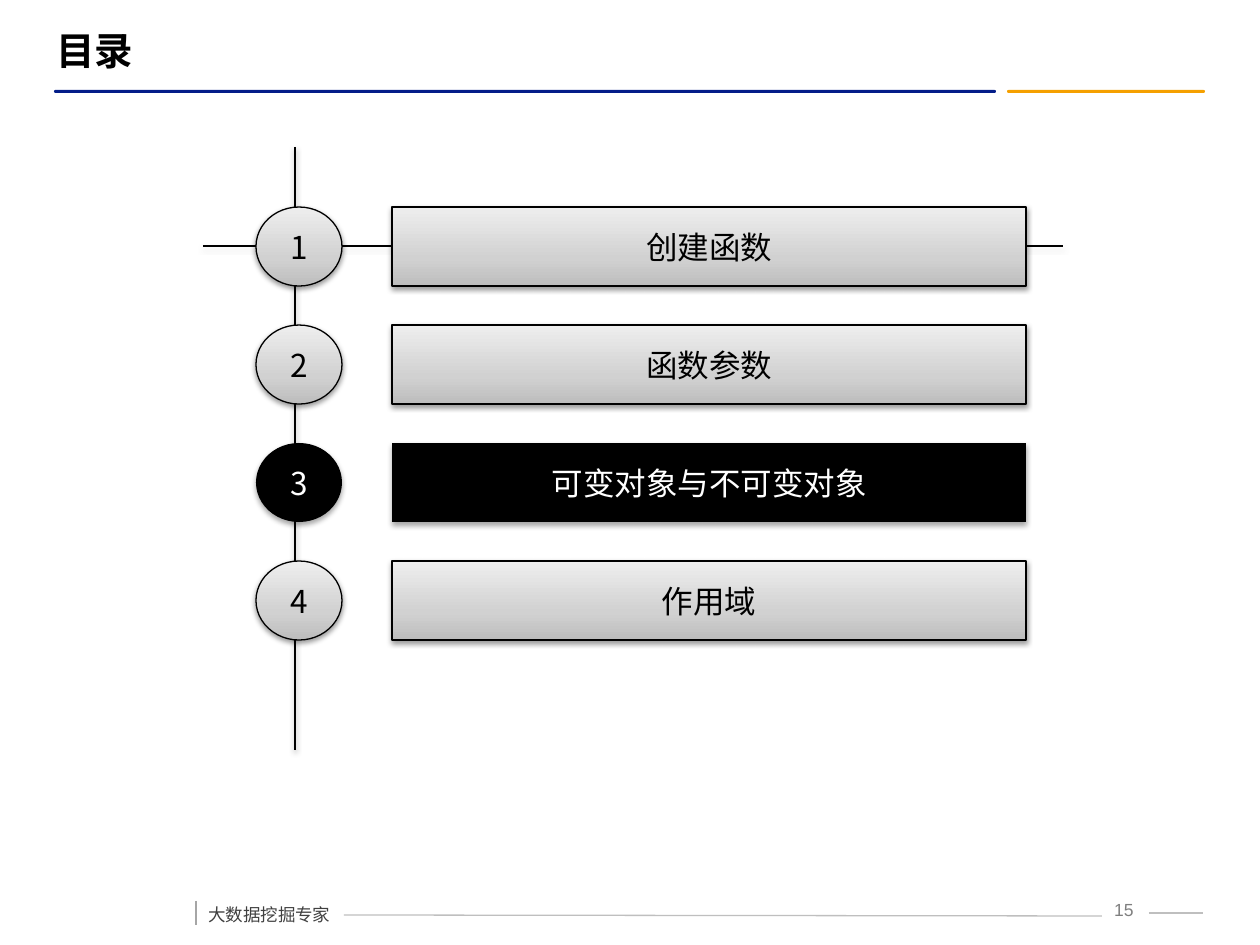
from lxml.etree import SubElement
from pptx import Presentation
from pptx.dml.color import RGBColor
from pptx.enum.shapes import MSO_CONNECTOR, MSO_SHAPE
from pptx.enum.text import MSO_ANCHOR, MSO_AUTO_SIZE, PP_ALIGN
from pptx.oxml import parse_xml
from pptx.oxml.ns import nsdecls, qn
from pptx.util import Inches, Pt

PX = Inches(1) / 126
SANS = "Noto Sans CJK SC"
BLACK = RGBColor(0x00, 0x00, 0x00)
WHITE = RGBColor(0xFF, 0xFF, 0xFF)
NAVY = RGBColor(0x03, 0x1D, 0x89)
ORANGE = RGBColor(0xF5, 0xA0, 0x00)
SLATE = RGBColor(0x40, 0x40, 0x40)
GREY = RGBColor(0x7F, 0x7F, 0x7F)
TICK_GREY = RGBColor(0xA6, 0xA6, 0xA6)
LINE_GREY = RGBColor(0xBF, 0xBF, 0xBF)
BUTTON_STOPS = [(0, RGBColor(0xBD, 0xBD, 0xBD)),
                (35, RGBColor(0xD1, 0xD1, 0xD1)),
                (100, RGBColor(0xEE, 0xEE, 0xEE))]

TOPICS = ["创建函数", "函数参数", "可变对象与不可变对象", "作用域"]
CURRENT = 3


def px(*lengths):
    return [round(length * PX) for length in lengths]


def add_run(paragraph, text, size, color, font=SANS, bold=False):
    run = paragraph.add_run()
    run.text = text
    run.font.size = Pt(size)
    run.font.bold = bold
    run.font.name = font
    run.font.color.rgb = color
    SubElement(run.font._element, qn("a:ea")).set("typeface", SANS)


def cast_shadow(effects, distance=1.6, opacity=38):
    effects.append(parse_xml(
        f'<a:outerShdw {nsdecls("a")} blurRad="{Pt(3.1)}" dist="{Pt(distance)}" '
        f'dir="5400000" rotWithShape="0"><a:srgbClr val="{BLACK}">'
        f'<a:alpha val="{opacity * 1000}"/></a:srgbClr></a:outerShdw>'))


def fill_gradient(shape):
    shape.fill.gradient()
    gradient = shape._element.spPr.find(qn("a:gradFill"))
    stops = "".join(f'<a:gs pos="{pos * 1000}"><a:srgbClr val="{color}"/></a:gs>'
                    for pos, color in BUTTON_STOPS)
    gradient.getparent().replace(gradient, parse_xml(
        f'<a:gradFill {nsdecls("a")} rotWithShape="1"><a:gsLst>{stops}</a:gsLst>'
        '<a:lin ang="16200000" scaled="0"/></a:gradFill>'))


def add_line(slide, start, end, color, shadow=False):
    line = slide.shapes.add_connector(MSO_CONNECTOR.STRAIGHT, *px(*start, *end))
    line.line.color.rgb = color
    line.line.width = Pt(0.75)
    effects = SubElement(line._element.spPr, qn("a:effectLst"))
    if shadow:
        cast_shadow(effects)


def add_button(slide, kind, box, label, current):
    button = slide.shapes.add_shape(kind, *px(*box))
    button.shadow.inherit = False
    if current:
        button.fill.solid()
        button.fill.fore_color.rgb = BLACK
        button.line.fill.background()
    else:
        fill_gradient(button)
        button.line.color.rgb = BLACK
        button.line.width = Pt(0.75)
    effects = button._element.spPr.find(qn("a:effectLst"))
    if current:
        cast_shadow(effects, distance=1.8, opacity=35)
    else:
        cast_shadow(effects)
    frame = button.text_frame
    frame.word_wrap = False
    frame.vertical_anchor = MSO_ANCHOR.MIDDLE
    frame.paragraphs[0].alignment = PP_ALIGN.CENTER
    add_run(frame.paragraphs[0], label, 18, WHITE if current else BLACK)


def add_header(slide, left, top, width):
    # Title
    title = slide.shapes.title
    title.left, title.top, title.width, title.height = px(left - 10, top, 1121, 59)
    frame = title.text_frame
    frame.auto_size = MSO_AUTO_SIZE.NONE
    frame.vertical_anchor = MSO_ANCHOR.MIDDLE
    frame.paragraphs[0].alignment = PP_ALIGN.LEFT
    add_run(frame.paragraphs[0], "目录", 22, BLACK, "Arial", bold=True)

    # Two-colour rule
    navy_width, orange_width = 942, 198
    for x, rule_width, color in [(left, navy_width, NAVY),
                                 (left + width - orange_width, orange_width, ORANGE)]:
        rule = slide.shapes.add_shape(MSO_SHAPE.ROUNDED_RECTANGLE,
                                      *px(x, top + 69, rule_width, 3))
        rule.adjustments[0] = 0.5
        rule.shadow.inherit = False
        rule.fill.solid()
        rule.fill.fore_color.rgb = color
        rule.line.fill.background()


def add_agenda(slide, left, top, width, height):
    # Axes behind the buttons
    add_line(slide, (left + 92, top), (left + 92, top + height), BLACK, shadow=True)
    add_line(slide, (left, top + 99), (left + width, top + 99), BLACK, shadow=True)

    # Numbered topics
    row_height, pitch = 79, 118
    for number, topic in enumerate(TOPICS, start=1):
        y = top + 60 + (number - 1) * pitch
        current = number == CURRENT
        add_button(slide, MSO_SHAPE.OVAL, (left + 53, y, 86, row_height),
                   str(number), current)
        add_button(slide, MSO_SHAPE.ACTION_BUTTON_CUSTOM,
                   (left + 189, y, 634, row_height), topic, current)


def add_footer(slide, left, top, width):
    add_line(slide, (left, top + 14), (left, top + 38), TICK_GREY)
    add_line(slide, (left + 148, top + 28), (left + 906, top + 29), LINE_GREY)
    add_line(slide, (left + 953, top + 26), (left + width, top + 26), LINE_GREY)

    # Slogan
    slogan = slide.shapes.add_textbox(*px(left, top, 149, 44)).text_frame
    slogan.word_wrap = False
    slogan.auto_size = MSO_AUTO_SIZE.SHAPE_TO_FIT_TEXT
    slogan.paragraphs[0].line_spacing = 1.5
    slogan.paragraphs[0].space_before = Pt(6)
    add_run(slogan.paragraphs[0], "大数据挖掘专家", 10, SLATE)

    # Page number
    page = slide.shapes.add_textbox(*px(left + 896, top + 6, 59, 31)).text_frame
    page.word_wrap = True
    page.paragraphs[0].alignment = PP_ALIGN.CENTER
    add_run(page.paragraphs[0], " 15", 10, GREY, "Arial")


def main():
    deck = Presentation()
    deck.slide_width, deck.slide_height = px(1260, 945)
    slide = deck.slides.add_slide(deck.slide_layouts[5])
    add_header(slide, left=54, top=21, width=1151)
    add_footer(slide, left=196, top=887, width=1007)
    add_agenda(slide, left=203, top=147, width=860, height=603)
    deck.save("out.pptx")


if __name__ == "__main__":
    main()
